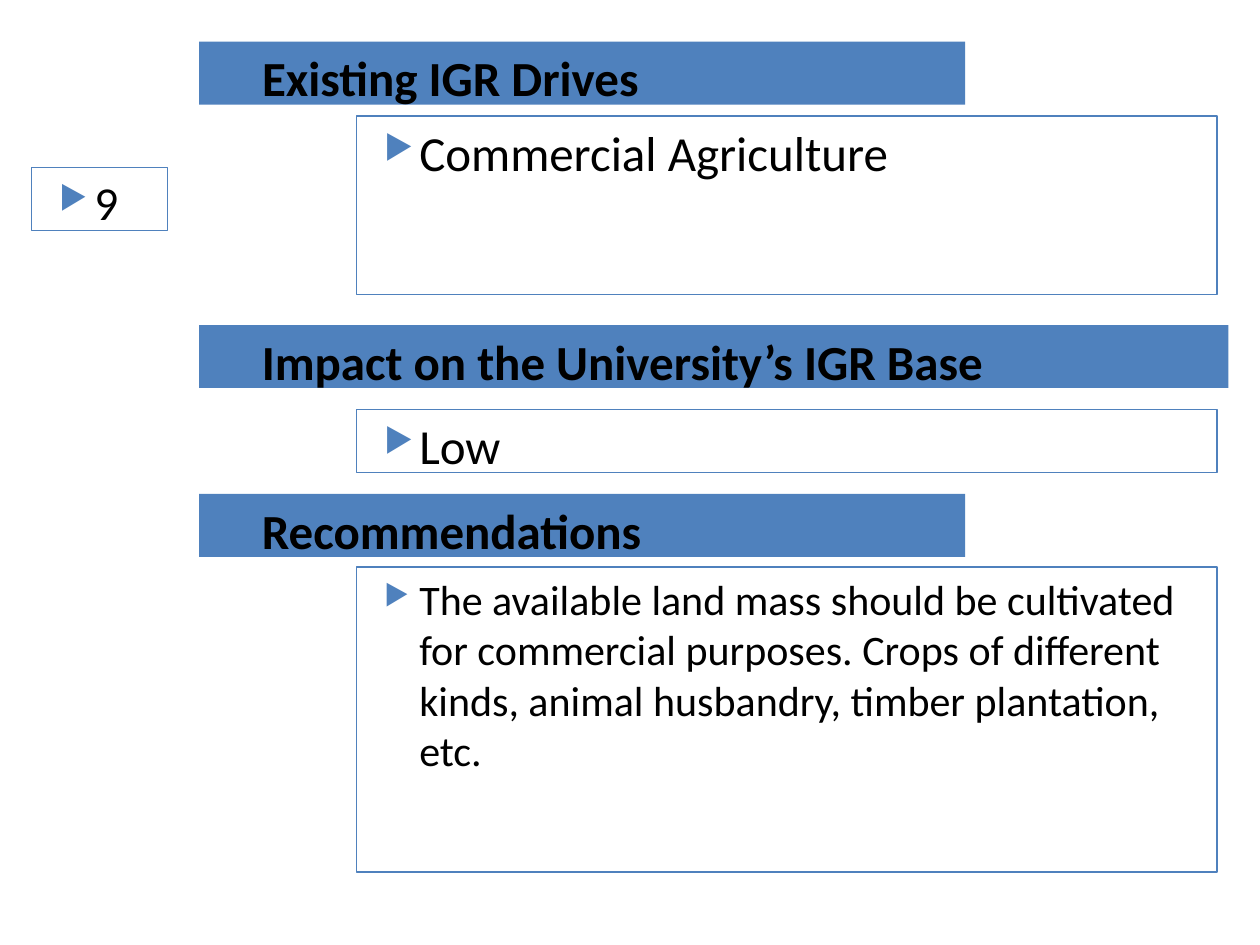
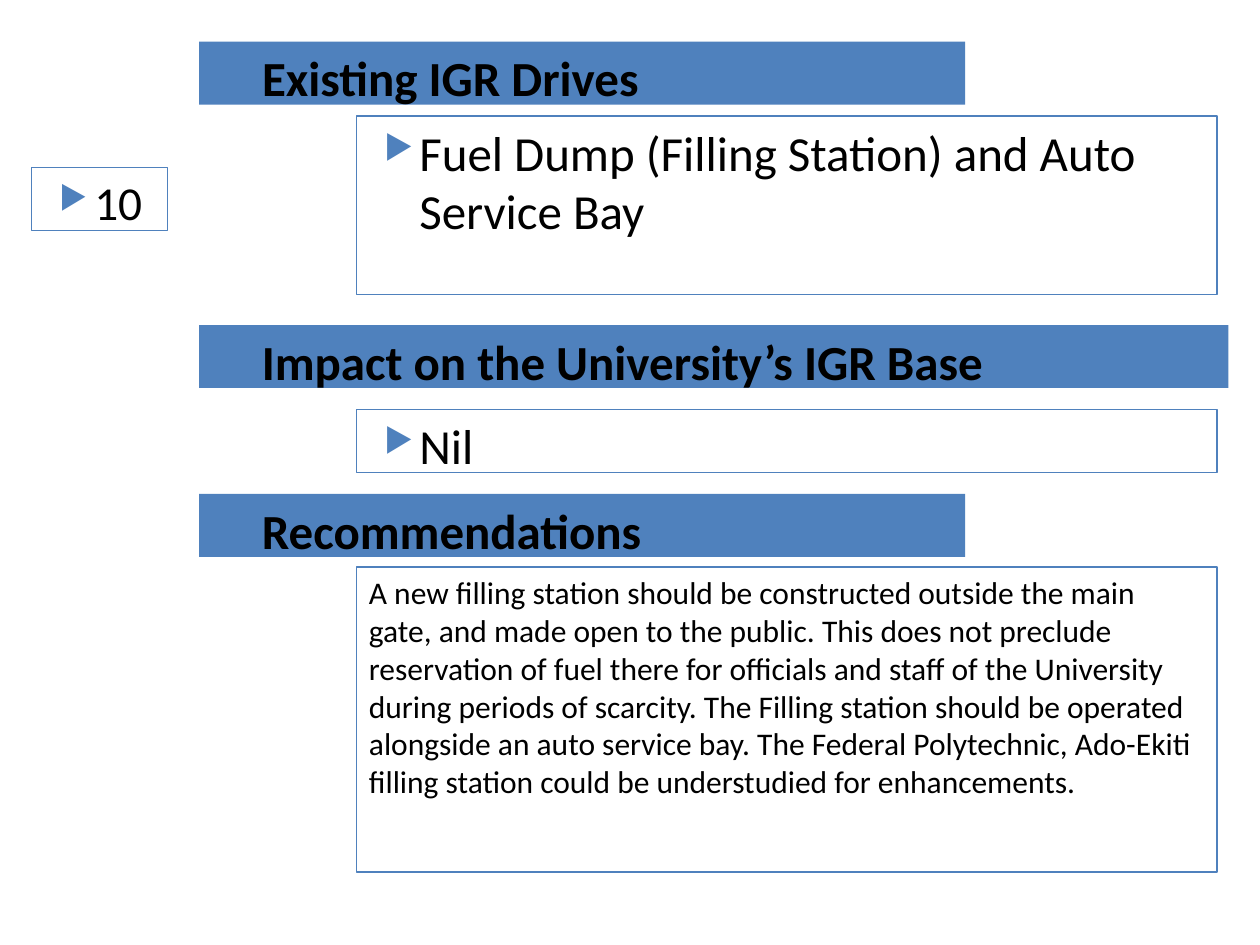
from dataclasses import dataclass

import pptx
import pptx.dml.color
import pptx.enum.shapes
import pptx.enum.text
import pptx.oxml
import pptx.oxml.ns
import pptx.presentation
import pptx.shapes.autoshape
import pptx.slide
import pptx.text.text
import pptx.util

Inches = pptx.util.Inches
BLUE = pptx.dml.color.RGBColor(0x4F, 0x81, 0xBD)
BLACK = pptx.dml.color.RGBColor(0, 0, 0)
FONT = "Calibri"

TEXT_INDENT = Inches(0.4)
BULLET_HANG = Inches(0.28)
ROW_HEIGHT = 0.5
BAR_LEFT = 1.58
SHORT_BAR = 6.08
LONG_BAR = 8.17
ANSWER_LEFT = 2.83
ANSWER_WIDTH = 6.83


@dataclass(frozen=True)
class Area:
    left: float
    top: float
    width: float
    height: float = ROW_HEIGHT


@dataclass(frozen=True)
class Heading:
    text: str
    area: Area


@dataclass(frozen=True)
class Answer:
    text: str
    size: int = 28
    bulleted: bool = True


@dataclass(frozen=True)
class Drive:
    number: int
    name: Answer
    impact: Answer
    recommendation: Answer


TITLE = Heading("Existing IGR Drives", Area(BAR_LEFT, 0.33, SHORT_BAR))
SUBHEADINGS = (
    Heading("Impact on the University’s IGR Base", Area(BAR_LEFT, 2.58, LONG_BAR)),
    Heading("Recommendations", Area(BAR_LEFT, 3.92, SHORT_BAR)),
)
NUMBER_AREA = Area(0.25, 1.33, 1.08)
NAME_AREA = Area(ANSWER_LEFT, 0.92, ANSWER_WIDTH, 1.42)
IMPACT_AREA = Area(ANSWER_LEFT, 3.25, ANSWER_WIDTH)
RECOMMENDATION_AREA = Area(ANSWER_LEFT, 4.5, ANSWER_WIDTH, 2.42)

DRIVES = (
    Drive(
        9,
        Answer("Commercial Agriculture"),
        Answer("Low"),
        Answer(
            "The available land mass should be cultivated for commercial purposes. "
            "Crops of different kinds, animal husbandry, timber plantation, etc.",
            size=24,
        ),
    ),
    Drive(
        10,
        Answer("Fuel Dump (Filling Station) and Auto Service Bay"),
        Answer("Nil"),
        Answer(
            "A new filling station should be constructed outside the main gate, and "
            "made open to the public. This does not preclude reservation of fuel there "
            "for officials and staff of the University during periods of scarcity. The "
            "Filling station should be operated alongside an auto service bay. The "
            "Federal Polytechnic, Ado-Ekiti filling station could be understudied for "
            "enhancements.",
            size=18,
            bulleted=False,
        ),
    ),
)


def add_bullet(para: pptx.text.text._Paragraph) -> None:
    properties = para._p.get_or_add_pPr()
    properties.set("marL", str(TEXT_INDENT))
    properties.set("indent", str(-BULLET_HANG))
    namespace = pptx.oxml.ns.nsdecls("a")
    for markup in (
        f'<a:buClr {namespace}><a:srgbClr val="{BLUE}"/></a:buClr>',
        f'<a:buSzPct {namespace} val="68000"/>',
        f'<a:buChar {namespace} char="▶"/>',
    ):
        properties.append(pptx.oxml.parse_xml(markup))


def write_text(
    box: pptx.shapes.autoshape.Shape, text: str, size: int, bold: bool = False
) -> pptx.text.text._Paragraph:
    frame = box.text_frame
    frame.word_wrap = True
    frame.auto_size = pptx.enum.text.MSO_AUTO_SIZE.NONE
    frame.vertical_anchor = pptx.enum.text.MSO_ANCHOR.TOP
    para = frame.paragraphs[0]
    para.alignment = pptx.enum.text.PP_ALIGN.LEFT
    span = para.add_run()
    span.text = text
    span.font.name = FONT
    span.font.size = pptx.util.Pt(size)
    span.font.bold = bold
    span.font.color.rgb = BLACK
    return para


def place(box: pptx.shapes.autoshape.Shape, area: Area) -> None:
    box.left, box.top = Inches(area.left), Inches(area.top)
    box.width, box.height = Inches(area.width), Inches(area.height)


def add_rectangle(page: pptx.slide.Slide, area: Area) -> pptx.shapes.autoshape.Shape:
    box = page.shapes.add_shape(
        pptx.enum.shapes.MSO_SHAPE.RECTANGLE,
        Inches(area.left),
        Inches(area.top),
        Inches(area.width),
        Inches(area.height),
    )
    box.shadow.inherit = False
    return box


def format_heading(box: pptx.shapes.autoshape.Shape, text: str) -> None:
    box.fill.solid()
    box.fill.fore_color.rgb = BLUE
    box.line.fill.background()
    para = write_text(box, text, 28, bold=True)
    para._p.get_or_add_pPr().set("marL", str(TEXT_INDENT))


def add_answer(page: pptx.slide.Slide, area: Area, answer: Answer) -> None:
    box = add_rectangle(page, area)
    box.fill.background()
    box.line.color.rgb = BLUE
    box.line.width = pptx.util.Pt(0.75)
    para = write_text(box, answer.text, answer.size)
    if answer.bulleted:
        add_bullet(para)


def add_drive_page(deck: pptx.presentation.Presentation, drive: Drive) -> None:
    page = deck.slides.add_slide(deck.slide_layouts.get_by_name("Title Only"))
    place(page.shapes.title, TITLE.area)
    format_heading(page.shapes.title, TITLE.text)
    for heading in SUBHEADINGS:
        format_heading(add_rectangle(page, heading.area), heading.text)
    add_answer(page, NUMBER_AREA, Answer(str(drive.number), size=27))
    add_answer(page, NAME_AREA, drive.name)
    add_answer(page, IMPACT_AREA, drive.impact)
    add_answer(page, RECOMMENDATION_AREA, drive.recommendation)


def main() -> None:
    deck = pptx.Presentation()
    deck.slide_width, deck.slide_height = Inches(10), Inches(7.5)
    for drive in DRIVES:
        add_drive_page(deck, drive)
    deck.save("out.pptx")


if __name__ == "__main__":
    main()
